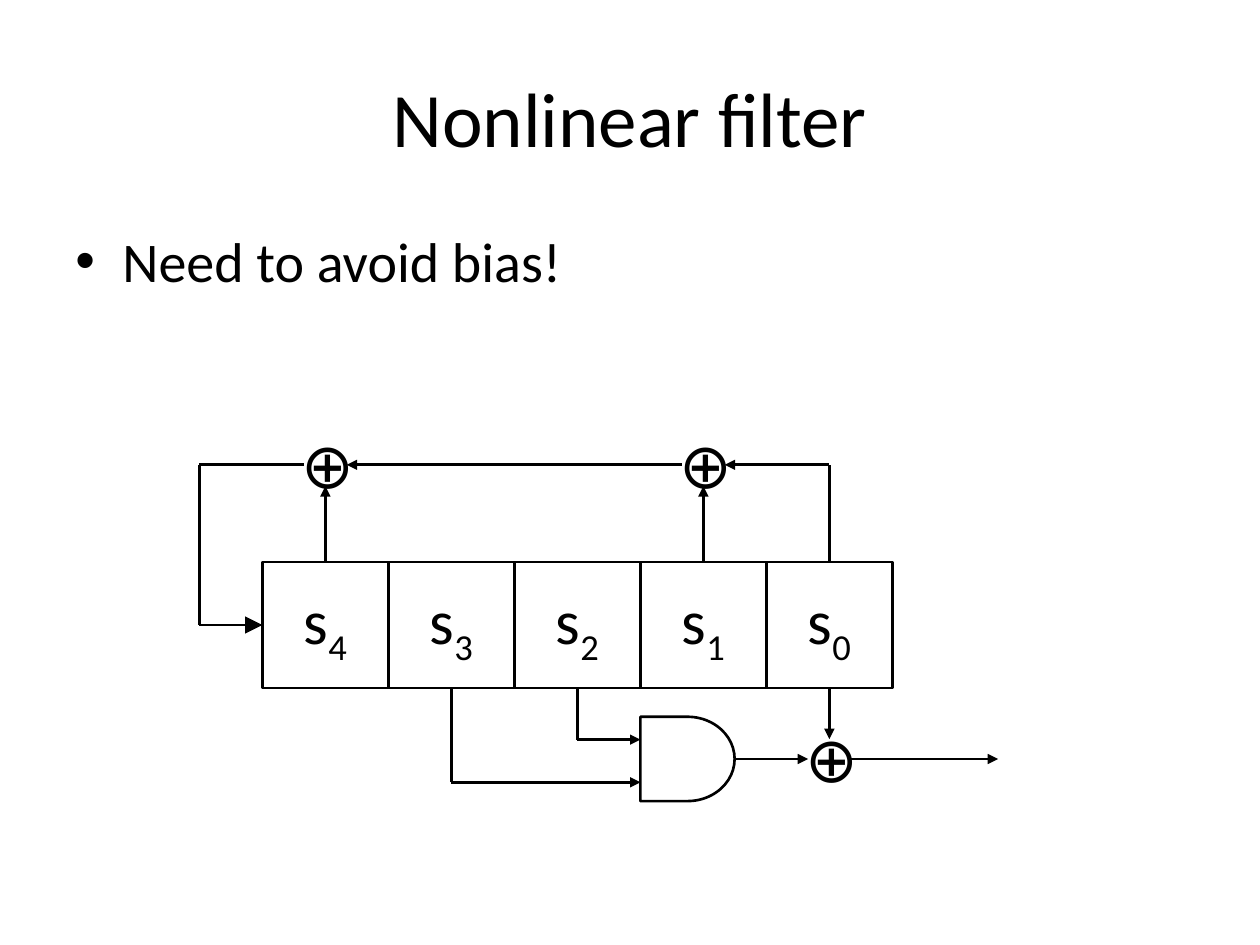
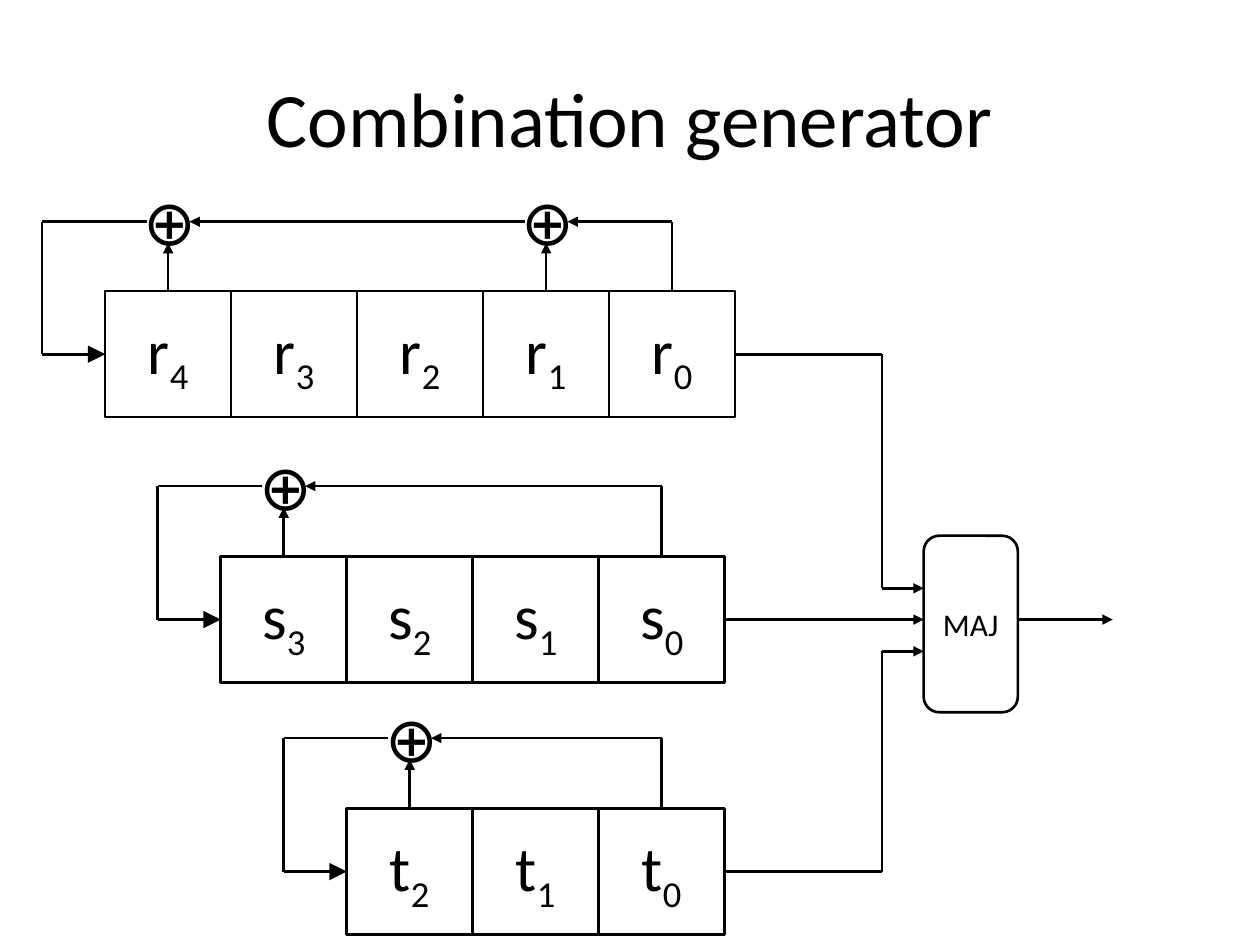
from pptx import Presentation
from pptx.dml.color import RGBColor
from pptx.enum.shapes import MSO_CONNECTOR, MSO_SHAPE
from pptx.enum.text import MSO_ANCHOR, PP_ALIGN
from pptx.oxml.ns import qn
from pptx.util import Cm, Pt
from lxml import etree

BLACK = RGBColor(0, 0, 0)
FONT = "Calibri"
LINE_WIDTH = Pt(1.5)
STRAIGHT = MSO_CONNECTOR.STRAIGHT
RECTANGLE = MSO_SHAPE.RECTANGLE
AND_GATE = MSO_SHAPE.FLOWCHART_DELAY
ROUNDED = MSO_SHAPE.FLOWCHART_ALTERNATE_PROCESS
CENTER, LEFT = PP_ALIGN.CENTER, PP_ALIGN.LEFT
MIDDLE, TOP = MSO_ANCHOR.MIDDLE, MSO_ANCHOR.TOP
TOP_SIDE, LEFT_SIDE, BOTTOM_SIDE, RIGHT_SIDE = range(4)

# Lengths in centimetres
CELL = 2.54
LOOP = 1.27  # distance from a register to its feedback line
RADIUS = 0.43  # of an XOR sign
TITLE_PLACE = (1.27, 0.76, 22.86, 3.18)
BODY_PLACE = (1.27, 4.45, 22.86, 2.85)


def add_box(page, kind, place, text="", subscript="", size=36):
    """Add an outlined shape with centred text and an optional subscript."""
    box = page.shapes.add_shape(kind, *map(Cm, place))
    box.shadow.inherit = False
    box.fill.background()
    box.line.color.rgb = BLACK
    box.line.width = LINE_WIDTH
    if text:
        box.text_frame.vertical_anchor = MIDDLE
        para = box.text_frame.paragraphs[0]
        para.alignment = CENTER
        para.font.name, para.font.size = FONT, Pt(size)
        para.font.color.rgb = BLACK
        para.add_run().text = text
        if subscript:
            span = para.add_run()
            span.text = subscript
            span._r.get_or_add_rPr().set("baseline", "-25000")
    return box


def add_line(page, start, end, arrow=None, source=None, target=None):
    """Draw a line; arrow is a head size, source and target are (shape, side)."""
    line = page.shapes.add_connector(STRAIGHT, *map(Cm, start + end))
    line.line.color.rgb = BLACK
    line.line.width = LINE_WIDTH
    if source:
        line.begin_connect(*source)
    if target:
        line.end_connect(*target)
    properties = line._element.spPr
    if arrow:
        etree.SubElement(properties.find(qn("a:ln")), qn("a:tailEnd"),
                         type="triangle", w=arrow, len=arrow)
    etree.SubElement(properties, qn("a:effectLst"))


deck = Presentation()
deck.slide_width, deck.slide_height = Cm(25.4), Cm(19.05)
filter_page, generator_page = [
    deck.slides.add_slide(deck.slide_layouts[6]) for _ in range(2)]

# Registers: page, letter, cells, left, top, feedback height, tapped cells
registers = [
    (filter_page, "s", 5, 5.29, 11.33, 9.37, (3, 0)),
    (generator_page, "r", 5, 2.12, 5.87, 4.47, (3, 0)),
    (generator_page, "s", 4, 4.45, 11.22, 9.8, (0,)),
    (generator_page, "t", 3, 6.99, 16.3, 14.88, (0,)),
]
xor_signs = []
cell_rows = []
for page, letter, count, left, top, rail, taps in registers:
    cells = [
        add_box(page, RECTANGLE, (left + i * CELL, top, CELL, CELL),
                letter, str(count - 1 - i))
        for i in range(count)]
    cell_rows.append(cells)

    x = left + (count - 0.5) * CELL
    add_line(page, (x, top), (x, rail), source=(cells[-1], TOP_SIDE))
    for tap in taps:
        middle = left + (tap + 0.5) * CELL
        add_line(page, (x, rail), (middle + RADIUS, rail), "med")
        add_line(page, (middle, top), (middle, rail + RADIUS), "med",
                 source=(cells[tap], TOP_SIDE))
        xor_signs.append((page, middle, rail))
        x = middle - RADIUS

    loop_x, entry = left - LOOP, top + CELL / 2
    add_line(page, (x, rail), (loop_x, rail))
    add_line(page, (loop_x, rail), (loop_x, entry))
    add_line(page, (loop_x, entry), (left, entry), "lg",
             target=(cells[0], LEFT_SIDE))

# Nonlinear filter: s3 AND s2, then XOR with s0
filter_cells, r_cells, s_cells, t_cells = cell_rows
gate_left, output_y = 12.91, 15.3
filter_bottom = 11.33 + CELL
and_gate = add_box(filter_page, AND_GATE, (gate_left, 14.45, 1.9, 1.7))
for index, y in ((1, 15.77), (2, 14.91)):
    x = 5.29 + (index + 0.5) * CELL
    add_line(filter_page, (x, filter_bottom), (x, y),
             source=(filter_cells[index], BOTTOM_SIDE))
    add_line(filter_page, (x, y), (gate_left, y), "med")
xor_x = 5.29 + 4.5 * CELL
xor_signs.append((filter_page, xor_x, output_y))
add_line(filter_page, (xor_x, filter_bottom), (xor_x, output_y - 0.4), "med",
         source=(filter_cells[4], BOTTOM_SIDE))
add_line(filter_page, (14.81, output_y), (xor_x - RADIUS, output_y), "med",
         source=(and_gate, RIGHT_SIDE))
add_line(filter_page, (xor_x + RADIUS, output_y), (20.12, output_y), "med")

# Combination generator: the majority of three registers
bus_x, majority_left, majority_y = 17.78, 18.62, 12.49
add_box(generator_page, ROUNDED, (majority_left, 10.8, 1.9, 3.56), "MAJ", size=18)
for cells, right, y, entry in (
        (r_cells, 14.82, 7.14, 11.86), (t_cells, 14.61, 17.57, 13.13)):
    add_line(generator_page, (right, y), (bus_x, y), source=(cells[-1], RIGHT_SIDE))
    add_line(generator_page, (bus_x, y), (bus_x, entry))
    add_line(generator_page, (bus_x, entry), (majority_left, entry), "med")
add_line(generator_page, (14.61, majority_y), (majority_left, majority_y), "med",
         source=(s_cells[-1], RIGHT_SIDE))
add_line(generator_page, (20.52, majority_y), (22.43, majority_y), "med")

# Text boxes: page, text, place, size, alignment, anchor, wrap
texts = [
    (filter_page, "Nonlinear filter", TITLE_PLACE, 44, CENTER, MIDDLE, True),
    (generator_page, "Combination generator", TITLE_PLACE, 44, CENTER, MIDDLE, True),
    (filter_page, "Need to avoid bias!", BODY_PLACE, 32, LEFT, TOP, True),
]
for page, x, y in xor_signs:
    texts.append((page, "⊕", (x - 0.74, y - 0.91, 1.5, 1.8), 36, LEFT, TOP, False))

for page, text, place, size, alignment, anchor, wrap in texts:
    box = page.shapes.add_textbox(*map(Cm, place))
    box.text_frame.word_wrap = wrap
    box.text_frame.vertical_anchor = anchor
    para = box.text_frame.paragraphs[0]
    para.text = text
    para.alignment = alignment
    if place == BODY_PLACE:
        properties = para._p.get_or_add_pPr()
        properties.set("marL", str(Cm(0.95)))
        properties.set("indent", str(-Cm(0.95)))
        etree.SubElement(properties, qn("a:buFont"), typeface="Arial")
        etree.SubElement(properties, qn("a:buChar"), char="•")
    para.font.name, para.font.size = FONT, Pt(size)
    para.font.color.rgb = BLACK

deck.save("out.pptx")
